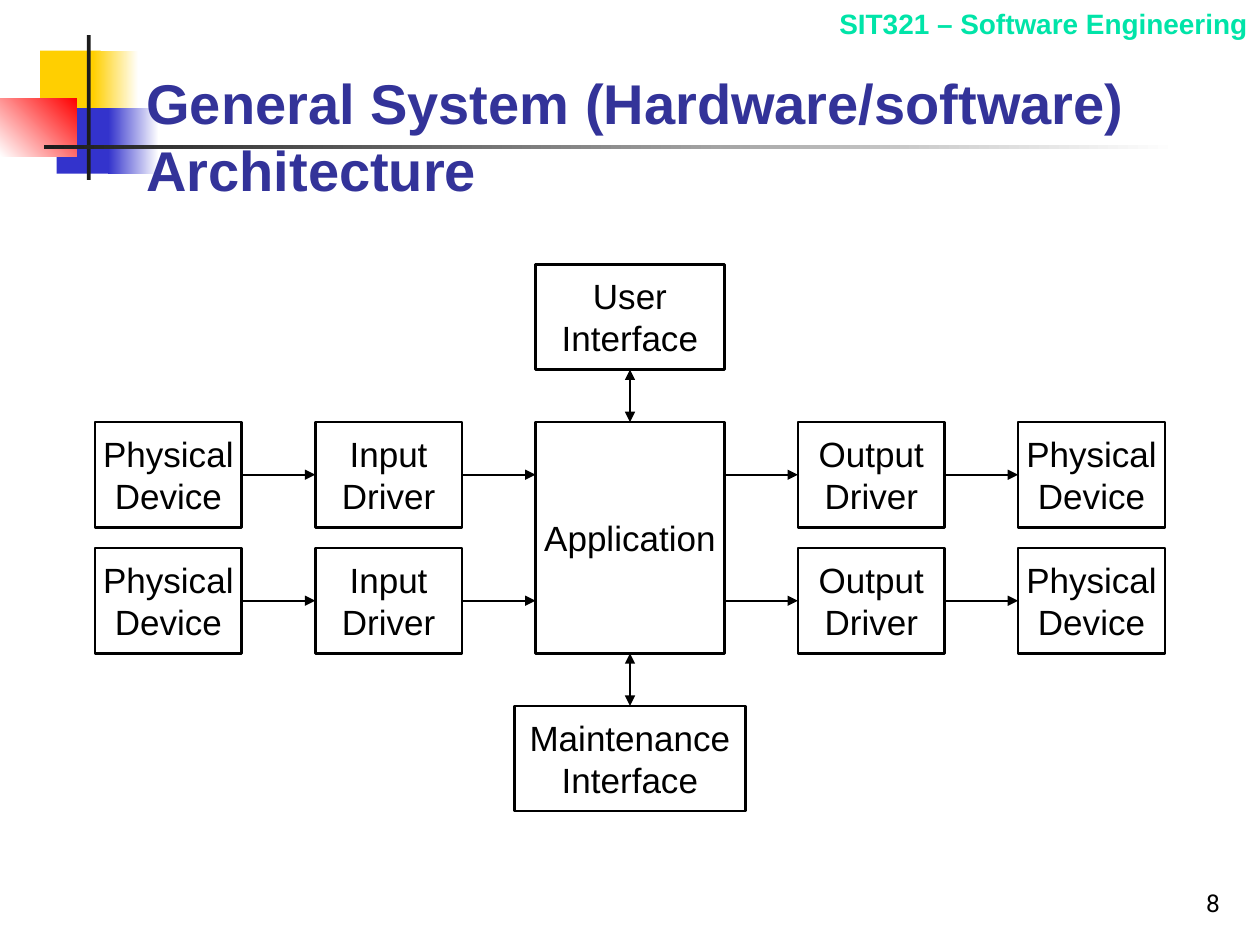
"""Build a slide showing a general hardware and software system architecture."""
from lxml import etree
from pptx import Presentation
from pptx.dml.color import RGBColor
from pptx.enum.shapes import MSO_CONNECTOR, MSO_SHAPE
from pptx.enum.text import MSO_ANCHOR, PP_ALIGN
from pptx.oxml.ns import qn
from pptx.util import Cm, Pt

RECTANGLE = MSO_SHAPE.RECTANGLE
STRAIGHT = MSO_CONNECTOR.STRAIGHT
TOP, MIDDLE, BOTTOM = MSO_ANCHOR.TOP, MSO_ANCHOR.MIDDLE, MSO_ANCHOR.BOTTOM
LEFT, CENTER, RIGHT = PP_ALIGN.LEFT, PP_ALIGN.CENTER, PP_ALIGN.RIGHT

HEADER = "SIT321 – Software Engineering"
TITLE = "General System (Hardware/software) Architecture"
PAGE_NUMBER = "8"
APPLICATION = "Application"
USER = "User\nInterface"
MAINTENANCE = "Maintenance\nInterface"
INPUT_CHAIN = ["Physical\nDevice", "Input\nDriver"]
OUTPUT_CHAIN = ["Output\nDriver", "Physical\nDevice"]
ROW_COUNT = 2

THEME = {
    "font": "Arial", "number_font": "Roboto",
    "ink": "000000", "white": "FFFFFF", "title": "333399", "header": "00E4A8",
    "yellow": "FFCF01", "blue": "3333CC", "red": "FF0000", "dark": "1C1C1C",
    "title_size": 32, "header_size": 16, "box_size": 20, "number_size": 14,
    "border": 1.5, "thin": 1,
}

ORNAMENTS = [
    ((0.81, 1.02, 1.22, 1.32), ["yellow"], 0),
    ((1.88, 1.02, 0.91, 1.32), ["white", "yellow"], 180),
    ((1.14, 2.18, 1.17, 1.32), ["blue"], 0),
    ((2.18, 2.18, 1.02, 1.32), ["white", "blue"], 180),
    ((0, 1.98, 1.55, 1.17), ["red", "white"], 225),
    ((1.75, 0.71, 0.08, 2.92), ["dark"], 0),
    ((0.89, 2.92, 22.86, 0.08), ["white", "dark"], 180),
]

MIDDLE_X = 12.7
FIRST_ROW = 8.51
BOX_WIDTH, BOX_HEIGHT = 2.96, 2.12
COLUMN_GAP, ROW_GAP, INTERFACE_GAP = 1.48, 0.42, 1.06
APPLICATION_WIDTH, MAINTENANCE_WIDTH = 3.81, 4.66


def color(name):
    """Return a theme colour."""
    return RGBColor.from_string(THEME[name])


def write(shape, text, size="box_size", ink="ink", font="font", bold=False,
          align=CENTER, anchor=MIDDLE, wrap=True, margins=(0.25, 0.13)):
    """Put formatted text into a shape."""
    frame = shape.text_frame
    frame.word_wrap = wrap
    frame.vertical_anchor = anchor
    frame.margin_left = frame.margin_right = Cm(margins[0])
    frame.margin_top = frame.margin_bottom = Cm(margins[1])
    paragraph = frame.paragraphs[0]
    paragraph.text = text
    paragraph.alignment = align
    for run in paragraph.runs:
        run.font.name = THEME[font]
        run.font.size = Pt(THEME[size])
        run.font.bold = bold
        run.font.color.rgb = color(ink)


def add_text(slide, place, text, **formatting):
    """Add a text box."""
    write(slide.shapes.add_textbox(*map(Cm, place)), text, **formatting)


def add_rectangle(slide, place):
    """Add a rectangle without shadow."""
    shape = slide.shapes.add_shape(RECTANGLE, *map(Cm, place))
    shape.shadow.inherit = False
    return shape


def add_ornament(slide, place, colors, angle):
    """Add a borderless rectangle with a solid or gradient fill."""
    shape = add_rectangle(slide, place)
    shape.line.fill.background()
    if len(colors) == 1:
        shape.fill.solid()
        shape.fill.fore_color.rgb = color(colors[0])
        return
    shape.fill.gradient()
    shape.fill.gradient_angle = angle
    for stop, name, position in zip(shape.fill.gradient_stops, colors, (0, 1)):
        stop.color.rgb = color(name)
        stop.position = position


def add_box(slide, place, text):
    """Add an outlined box with a centred label."""
    shape = add_rectangle(slide, place)
    shape.fill.background()
    shape.line.color.rgb = color("ink")
    shape.line.width = Pt(THEME["border"])
    write(shape, text, wrap=False, margins=(0, 0))


def add_arrow(slide, start, end, width="thin", ends=("tailEnd",)):
    """Add a straight line with triangular arrowheads."""
    connector = slide.shapes.add_connector(STRAIGHT, *map(Cm, start + end))
    connector.line.color.rgb = color("ink")
    connector.line.width = Pt(THEME[width])
    outline = connector.line._get_or_add_ln()
    for name in ends:
        etree.SubElement(outline, qn(f"a:{name}"), type="triangle")
    etree.SubElement(connector._element.spPr, qn("a:effectLst"))


def add_architecture(slide):
    """Lay out the application, its device chains and its interfaces."""
    height = ROW_COUNT * BOX_HEIGHT + (ROW_COUNT - 1) * ROW_GAP
    app_left = MIDDLE_X - APPLICATION_WIDTH / 2
    app_right = app_left + APPLICATION_WIDTH
    bottom = FIRST_ROW + height
    step = BOX_WIDTH + COLUMN_GAP
    add_box(slide, (app_left, FIRST_ROW, APPLICATION_WIDTH, height), APPLICATION)

    input_start = app_left - len(INPUT_CHAIN) * step
    chains = [
        (INPUT_CHAIN, input_start, BOX_WIDTH),
        (OUTPUT_CHAIN, app_right + COLUMN_GAP, -COLUMN_GAP),
    ]
    for row in range(ROW_COUNT):
        top = FIRST_ROW + row * (BOX_HEIGHT + ROW_GAP)
        level = top + BOX_HEIGHT / 2
        for labels, start, arrow_offset in chains:
            for column, label in enumerate(labels):
                left = start + column * step
                tail = left + arrow_offset
                add_box(slide, (left, top, BOX_WIDTH, BOX_HEIGHT), label)
                add_arrow(slide, (tail, level), (tail + COLUMN_GAP, level))

    interfaces = [
        (USER, APPLICATION_WIDTH, FIRST_ROW - INTERFACE_GAP - BOX_HEIGHT,
         FIRST_ROW - INTERFACE_GAP),
        (MAINTENANCE, MAINTENANCE_WIDTH, bottom + INTERFACE_GAP, bottom),
    ]
    for label, width, top, arrow_top in interfaces:
        add_box(slide, (MIDDLE_X - width / 2, top, width, BOX_HEIGHT), label)
        add_arrow(slide, (MIDDLE_X, arrow_top), (MIDDLE_X, arrow_top + INTERFACE_GAP),
                  width="border", ends=("headEnd", "tailEnd"))


def main():
    """Create and save the presentation."""
    presentation = Presentation()
    presentation.slide_width, presentation.slide_height = Cm(25.4), Cm(19.05)
    slide = presentation.slides.add_slide(presentation.slide_layouts[6])
    for ornament in ORNAMENTS:
        add_ornament(slide, *ornament)
    add_text(slide, (16.59, 0, 8.81, 0.94), HEADER, size="header_size",
             ink="header", bold=True, align=RIGHT, anchor=TOP)
    add_text(slide, (2.7, 1.12, 21.59, 3.1), TITLE, size="title_size",
             ink="title", bold=True, align=LEFT, anchor=BOTTOM)
    add_architecture(slide)
    add_text(slide, (19.56, 17.35, 5.28, 1.27), PAGE_NUMBER, size="number_size",
             font="number_font", align=RIGHT, anchor=BOTTOM)
    presentation.save("out.pptx")


if __name__ == "__main__":
    main()
